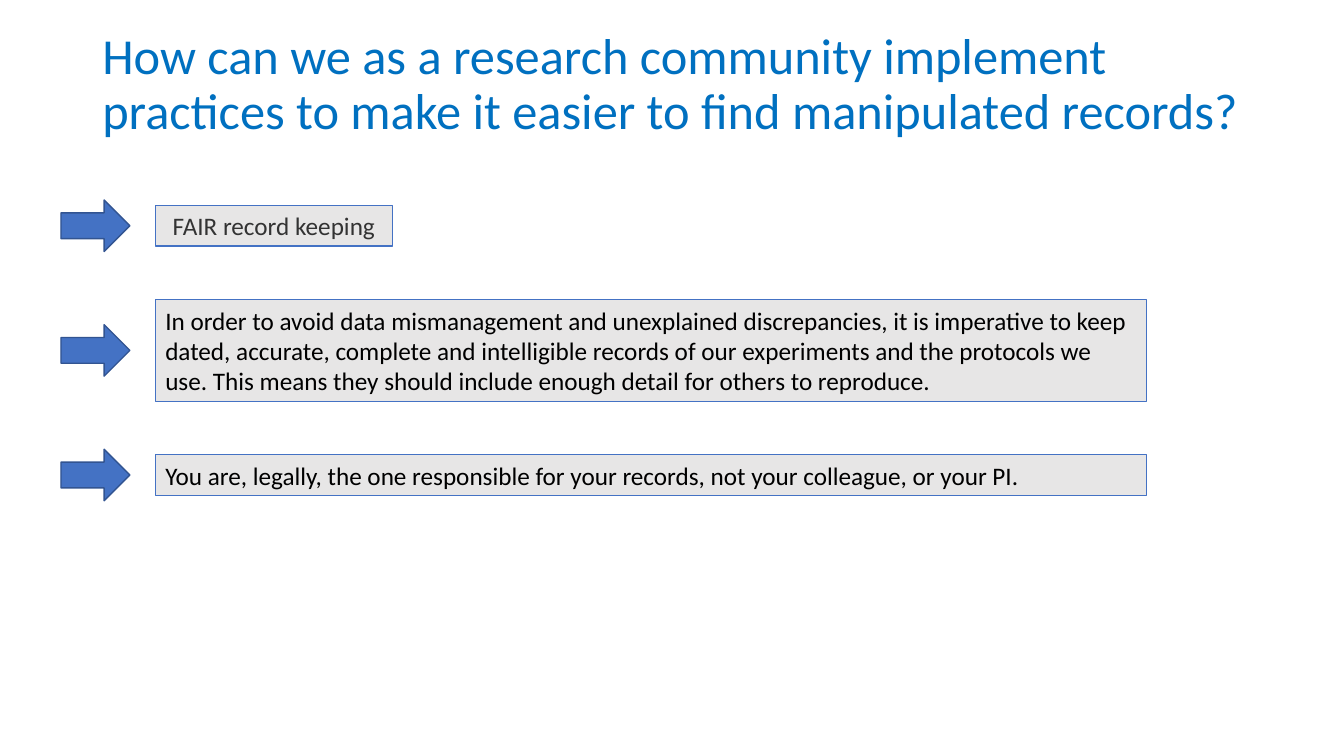
from pptx import Presentation
from pptx.dml.color import RGBColor
from pptx.enum.shapes import MSO_SHAPE as Shape
from pptx.enum.text import MSO_ANCHOR as Anchor, PP_ALIGN as Align
from pptx.util import Pt

COLORS = {
    "title": "0070C0",
    "panel": "E7E6E6",
    "accent": "4472C4",
    "arrow_edge": "325491",
    "muted": "333333",
    "ink": "000000",
}
FIRST_CENTER = 161.3
ROW_STEP = 89
WIDE = 707.8
POINTS = [
    ("FAIR record keeping", 169.2, 29.1, "muted", Align.CENTER),
    ("In order to avoid data mismanagement and unexplained discrepancies, "
     "it is imperative to keep dated, accurate, complete and intelligible "
     "records of our experiments and the protocols we use. This means they "
     "should include enough detail for others to reproduce.",
     WIDE, 72.7, "ink", Align.LEFT),
    ("You are, legally, the one responsible for your records, "
     "not your colleague, or your PI.", WIDE, 29.1, "ink", Align.LEFT),
]


class SlideBuilder:
    font = "Calibri"

    def __init__(self, slide):
        self.shapes = slide.shapes

    def color(self, name):
        return RGBColor.from_string(COLORS[name])

    def set_text(self, box, text, size, color, align=Align.LEFT):
        frame = box.text_frame
        frame.word_wrap = True
        frame.vertical_anchor = Anchor.MIDDLE
        para = frame.paragraphs[0]
        para.text = text
        para.alignment = align
        para.font.name = self.font
        para.font.size = Pt(size)
        para.font.color.rgb = self.color(color)
        return para

    def title(self, text, left, top, width, height):
        box = self.shapes.add_textbox(Pt(left), Pt(top), Pt(width), Pt(height))
        self.set_text(box, text, 36, "title").line_spacing = 0.9

    def shape(self, kind, left, center, width, height, fill, line):
        shape = self.shapes.add_shape(
            kind, Pt(left), Pt(center - height / 2), Pt(width), Pt(height))
        shape.shadow.inherit = False
        shape.fill.solid()
        shape.fill.fore_color.rgb = self.color(fill)
        shape.line.color.rgb = self.color(line)
        shape.line.width = Pt(1)
        return shape

    def arrow(self, center):
        self.shape(Shape.RIGHT_ARROW, 43.6, center, 49.2, 36.8, "accent", "arrow_edge")

    def panel(self, text, center, width, height, color, align):
        box = self.shape(Shape.RECTANGLE, 111, center, width, height, "panel", "accent")
        self.set_text(box, text, 18, color, align)


def main():
    deck = Presentation()
    deck.slide_width, deck.slide_height = Pt(960), Pt(540)
    page = SlideBuilder(deck.slides.add_slide(deck.slide_layouts[6]))
    for row, (text, width, height, color, align) in enumerate(POINTS):
        center = FIRST_CENTER + row * ROW_STEP
        page.panel(text, center, width, height, color, align)
        page.arrow(center)
    page.title("How can we as a research community implement practices "
               "to make it easier to find manipulated records?",
               66, 18, 828, 86.4)
    deck.save("out.pptx")


if __name__ == "__main__":
    main()
